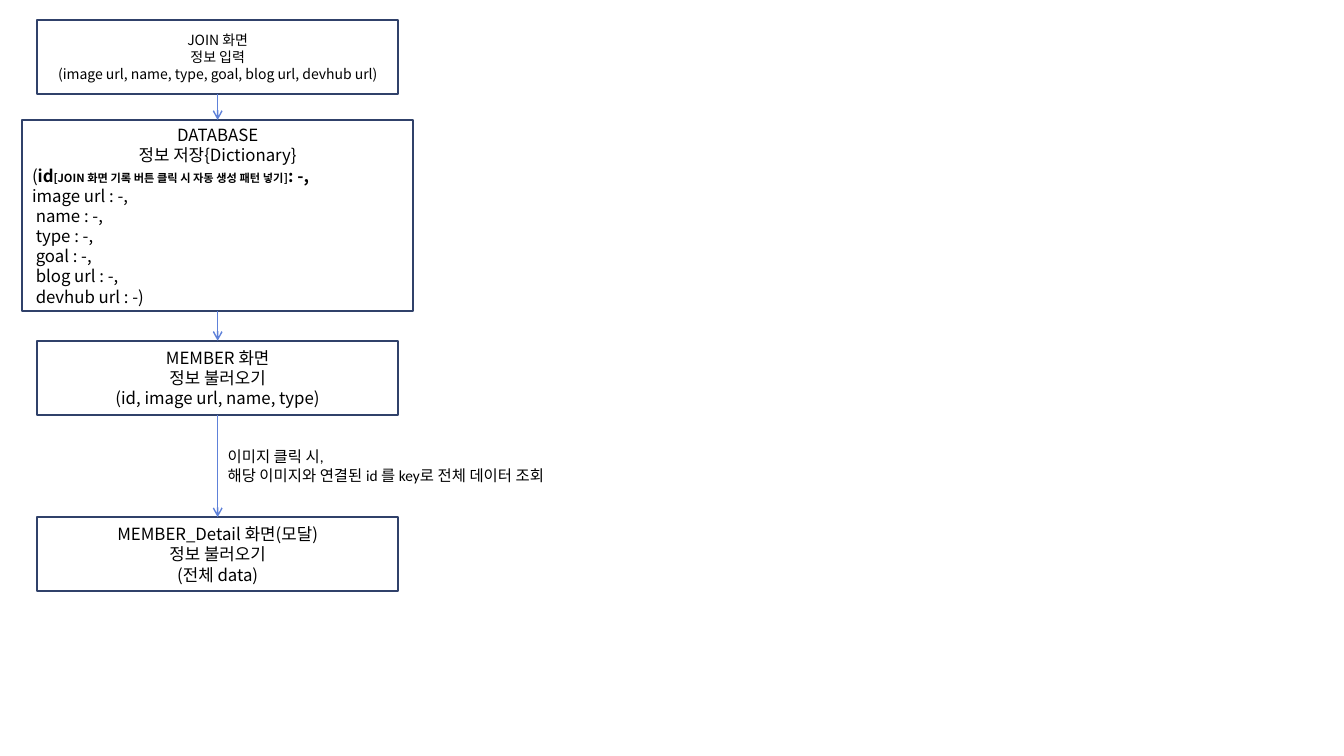
"""Build the flow slide for joining, storing and viewing member data."""
from pptx import Presentation
from pptx.dml.color import RGBColor
from pptx.enum import shapes, text
from pptx.oxml import parse_xml
from pptx.oxml.ns import nsdecls, qn
from pptx.util import Pt

COLORS = {"box": "FFFFFF", "border": "30416A", "arrow": "5E81D9", "text": "000000"}
KOREAN = "Noto Sans CJK KR"


def style_runs(paragraph, size, latin=KOREAN):
    for run in paragraph.runs:
        run.font.size = Pt(size)
        run.font.name = latin
        run.font.color.rgb = RGBColor.from_string(COLORS["text"])
        east_asian = parse_xml(f'<a:ea {nsdecls("a")} typeface="{KOREAN}"/>')
        run.font._element.find(qn("a:latin")).addnext(east_asian)


prs = Presentation()
prs.slide_width, prs.slide_height = Pt(960), Pt(540)
slide = prs.slides.add_slide(prs.slide_layouts[6])

center = 155.5
stages = [
    (14.4, 258, 53, 10, ["JOIN 화면", "정보 입력",
                         "(image url, name, type, goal, blog url, devhub url)"]),
    (85.7, 279.4, 136.8, 12, ["DATABASE", "정보 저장{Dictionary}"]),
    (243.4, 258, 53, 12, ["MEMBER 화면", "정보 불러오기", "(id, image url, name, type)"]),
    (369.4, 258, 53, 12, ["MEMBER_Detail 화면(모달)", "정보 불러오기", "(전체 data)"]),
]
boxes = []
for top, width, height, size, lines in stages:
    box = slide.shapes.add_shape(shapes.MSO_SHAPE.RECTANGLE, Pt(center - width / 2),
                                 Pt(top), Pt(width), Pt(height))
    box.shadow.inherit = False
    box.fill.solid()
    box.fill.fore_color.rgb = RGBColor.from_string(COLORS["box"])
    box.line.color.rgb = RGBColor.from_string(COLORS["border"])
    box.line.width = Pt(1.5)
    box.text_frame.vertical_anchor = text.MSO_ANCHOR.MIDDLE
    box.text_frame.text = "\n".join(lines)
    for paragraph in box.text_frame.paragraphs:
        paragraph.alignment = text.PP_ALIGN.CENTER
        style_runs(paragraph, size)
    boxes.append(box)

record = boxes[1].text_frame.add_paragraph()
record.alignment = text.PP_ALIGN.LEFT
record_parts = [("(", False), ("id", True),
                ("[JOIN 화면 기록 버튼 클릭 시 자동 생성 패턴 넣기]", True), (": -,", True)]
for part, bold in record_parts:
    run = record.add_run()
    run.text = part
    run.font.bold = bold
for field in ["image url : -,", " name : -,", " type : -,", " goal : -,",
              " blog url : -,", " devhub url : -)"]:
    record.add_line_break()
    record.add_run().text = field
style_runs(record, 12)
record.runs[2].font.size = Pt(8)

for upper, lower in zip(boxes, boxes[1:]):
    arrow = slide.shapes.add_connector(shapes.MSO_CONNECTOR.STRAIGHT, 0, 0, 0, 0)
    arrow.begin_connect(upper, 2)
    arrow.end_connect(lower, 0)
    arrow.line.color.rgb = RGBColor.from_string(COLORS["arrow"])
    arrow.line.width = Pt(1)
    arrow.line._get_or_add_ln().append(
        parse_xml(f'<a:tailEnd {nsdecls("a")} type="arrow"/>'))
    arrow._element.spPr.append(parse_xml(f'<a:effectLst {nsdecls("a")}/>'))

click_note = slide.shapes.add_textbox(Pt(center), Pt(316), Pt(259), Pt(33))
click_note.text_frame.word_wrap = True
click_note.text_frame.auto_size = text.MSO_AUTO_SIZE.SHAPE_TO_FIT_TEXT
click_note.text_frame.text = "이미지 클릭 시, \v해당 이미지와 연결된 id 를 key로 전체 데이터 조회"
style_runs(click_note.text_frame.paragraphs[0], 11, "Calibri")

prs.save("out.pptx")
